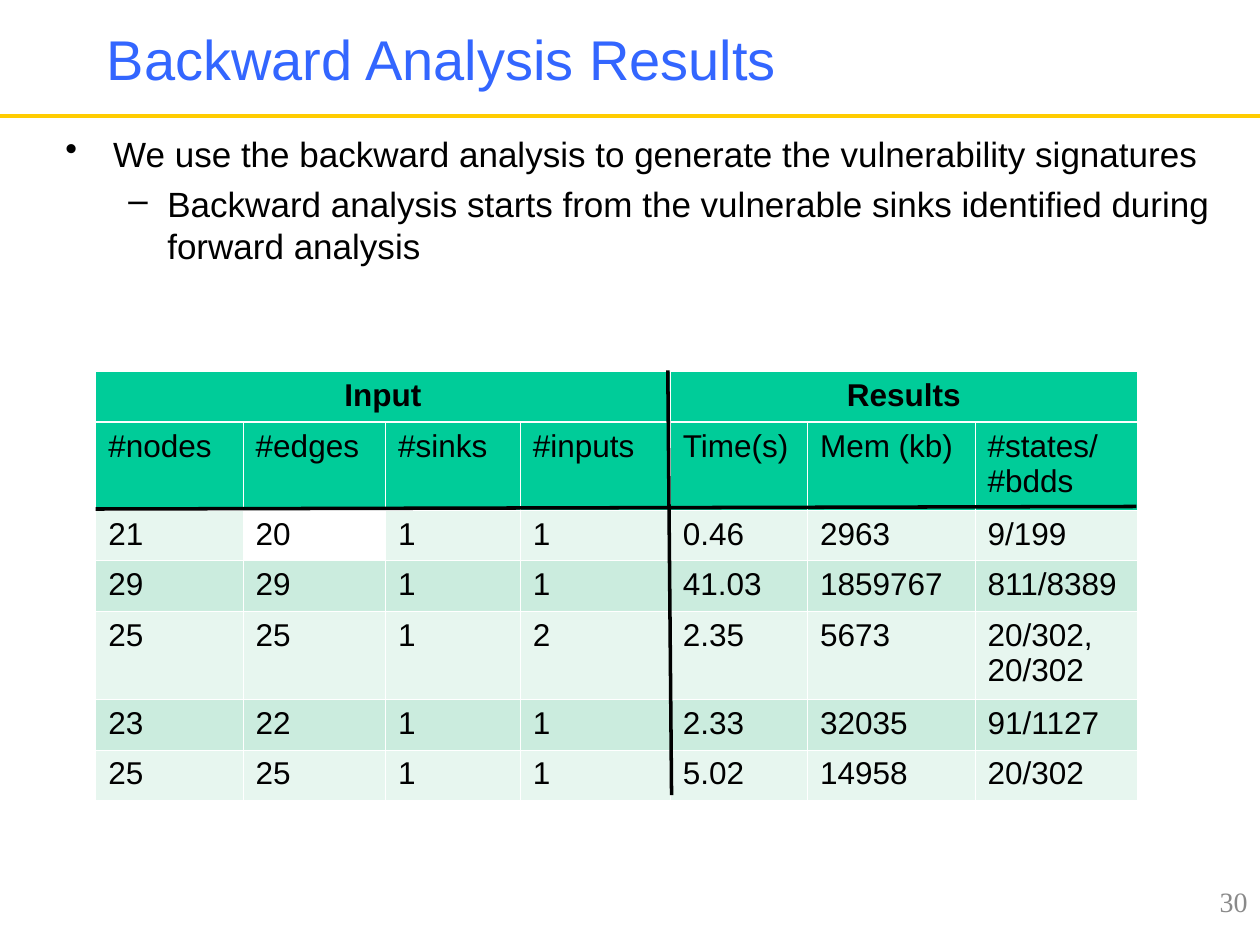
import pptx
import pptx.util
import pptx.dml.color
import pptx.enum.shapes
import pptx.enum.text
import pptx.oxml
import pptx.oxml.ns
import lxml.etree

Inches = pptx.util.Inches
Pt = pptx.util.Pt
RGBColor = pptx.dml.color.RGBColor
Align = pptx.enum.text.PP_ALIGN
Anchor = pptx.enum.text.MSO_ANCHOR
qn = pptx.oxml.ns.qn

BLACK = RGBColor(0x00, 0x00, 0x00)
WHITE = RGBColor(0xFF, 0xFF, 0xFF)
BLUE = RGBColor(0x33, 0x66, 0xFF)
GOLD = RGBColor(0xFF, 0xCC, 0x00)
GREY = RGBColor(0x89, 0x89, 0x89)
GREEN = RGBColor(0x00, 0xCC, 0x99)
PALE = RGBColor(0xE7, 0xF6, 0xEF)
MINT = RGBColor(0xCB, 0xEC, 0xDE)

COLS = [1.17, 1.13, 1.07, 1.19, 1.09, 1.33, 1.29]
ROWS = [0.4, 0.7, 0.4, 0.4, 0.7, 0.4, 0.4]
GROUPS = [("Input", 0, 3), ("Results", 4, 6)]
HEADS = ["#nodes", "#edges", "#sinks", "#inputs", "Time(s)", "Mem (kb)", "#states/#bdds"]
DATA = [
    ["21", "20", "1", "1", "0.46", "2963", "9/199"],
    ["29", "29", "1", "1", "41.03", "1859767", "811/8389"],
    ["25", "25", "1", "2", "2.35", "5673", "20/302,\n20/302"],
    ["23", "22", "1", "1", "2.33", "32035", "91/1127"],
    ["25", "25", "1", "1", "5.02", "14958", "20/302"],
]
POINTS = [
    ("We use the backward analysis to generate the vulnerability signatures",
     "•", 0, 0.38, 0.38),
    ("Backward analysis starts from the vulnerable sinks identified during forward analysis",
     "–", 1, 0.81, 0.31),
]


class Deck:
    font = "Arial"

    def __init__(self, wide, high):
        self.prs = pptx.Presentation()
        self.prs.slide_width = Inches(wide)
        self.prs.slide_height = Inches(high)
        self.slide = self.prs.slides.add_slide(self.prs.slide_layouts[6])

    def text(self, para, words, size, color=BLACK, bold=False, font=None):
        run = para.add_run()
        run.text = words
        run.font.name = font or self.font
        run.font.size = Pt(size)
        run.font.bold = bold
        run.font.color.rgb = color

    def frame(self, left, top, wide, high, anchor=Anchor.MIDDLE):
        box = self.slide.shapes.add_textbox(
            Inches(left), Inches(top), Inches(wide), Inches(high))
        frame = box.text_frame
        frame.word_wrap = True
        frame.vertical_anchor = anchor
        return frame

    def label(self, place, words, size, color, align=Align.LEFT, font=None):
        para = self.frame(*place).paragraphs[0]
        para.alignment = align
        self.text(para, words, size, color, font=font)

    def bullets(self, place, points, size):
        frame = self.frame(*place, anchor=Anchor.TOP)
        for i, (words, mark, level, left, hang) in enumerate(points):
            para = frame.add_paragraph() if i else frame.paragraphs[0]
            para.level = level
            props = para._p.get_or_add_pPr()
            props.set("marL", str(Inches(left)))
            props.set("indent", str(-Inches(hang)))
            lxml.etree.SubElement(props, qn("a:buChar")).set("char", mark)
            if i:
                para.space_before = Pt(5)
            self.text(para, words, size)

    def line(self, start, end, color, width):
        link = self.slide.shapes.add_connector(
            pptx.enum.shapes.MSO_CONNECTOR.STRAIGHT,
            *(Inches(n) for n in start + end))
        link.line.color.rgb = color
        link.line.width = Pt(width)
        lxml.etree.SubElement(link._element.spPr, qn("a:effectLst"))

    def edge(self, cell, side, width):
        props = cell._tc.get_or_add_tcPr()
        line = lxml.etree.SubElement(props, qn("a:ln" + side))
        line.set("w", str(Pt(width)))
        fill = lxml.etree.SubElement(line, qn("a:solidFill"))
        lxml.etree.SubElement(fill, qn("a:srgbClr")).set("val", str(WHITE))

    def cell(self, cell, words, align=Align.LEFT, bold=False):
        frame = cell.text_frame
        for i, part in enumerate(words.split("\n")):
            para = frame.add_paragraph() if i else frame.paragraphs[0]
            para.alignment = align
            self.text(para, part, 18, bold=bold)

    def table(self, left, top):
        grid = self.slide.shapes.add_table(
            len(ROWS), len(COLS), Inches(left), Inches(top),
            Inches(sum(COLS)), Inches(sum(ROWS))).table
        grid.first_row = False
        grid.horz_banding = False
        for col, wide in zip(grid.columns, COLS):
            col.width = Inches(wide)
        for row, high in zip(grid.rows, ROWS):
            row.height = Inches(high)
        for r in range(len(ROWS)):
            for c in range(len(COLS)):
                cell = grid.cell(r, c)
                for side in "LRTB":
                    thick = (r, side) in [(0, "B"), (1, "T")]
                    self.edge(cell, side, 1.5 if thick else 0.45)
                if (r, c) == (2, 1):
                    cell.fill.background()
                else:
                    cell.fill.solid()
                    cell.fill.fore_color.rgb = GREEN if r < 2 else (PALE, MINT)[r % 2]
        for words, first, last in GROUPS:
            grid.cell(0, first).merge(grid.cell(0, last))
            self.cell(grid.cell(0, first), words, Align.CENTER, True)
        for r, row in enumerate([HEADS] + DATA, 1):
            for c, words in enumerate(row):
                self.cell(grid.cell(r, c), words)


def main():
    deck = Deck(10, 7.5)
    deck.line((0, 0.92), (10, 0.92), GOLD, 2.25)
    deck.label((0.75, 0, 8.42, 0.92), "Backward Analysis Results", 32, BLUE)
    deck.bullets((0.42, 1, 9.33, 5.83), POINTS, 20)
    deck.table(0.76, 2.95)
    deck.line((5.3, 2.94), (5.33, 6.31), BLACK, 2)
    deck.line((0.76, 4.04), (9.02, 4.02), BLACK, 2)
    deck.label((7.67, 6.95, 2.33, 0.4), "30", 16, GREY, Align.RIGHT, "Times New Roman")
    deck.prs.save("out.pptx")


if __name__ == "__main__":
    main()
